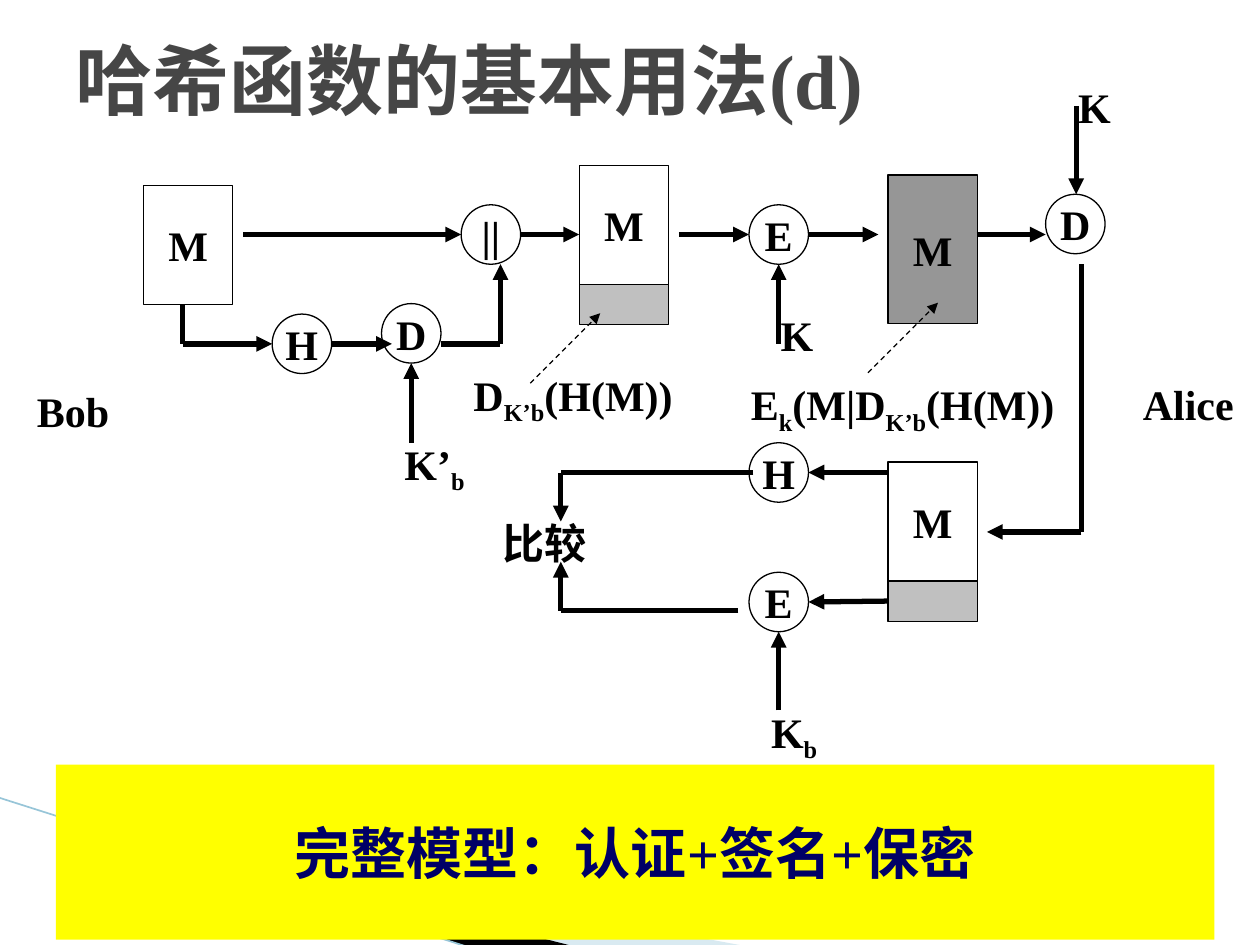
from dataclasses import dataclass

from lxml import etree
from pptx import Presentation
from pptx.dml.color import RGBColor
from pptx.enum import dml, shapes, text
from pptx.oxml import ns
from pptx.util import Pt


@dataclass(frozen=True)
class Theme:
    """Colours, type sizes and line widths of the slide."""
    font: str = "Times New Roman"
    ink: str = "000000"
    paper: str = "FFFFFF"
    title: str = "464646"
    tag: str = "C0C0C0"
    cipher: str = "969696"
    banner: str = "FFFF00"
    banner_text: str = "000066"
    ribbon: str = "A0CBDC"
    edge: str = "97C5D8"
    title_size: float = 44
    banner_size: float = 32
    size: float = 24
    thin: float = 0.75
    thick: float = 3


T = Theme()
NODE, BLOCK_W, BLOCK_H, TAG_H = 34, 51, 68, 23


def rgb(value):
    """Turn a hex string into a colour."""
    return RGBColor.from_string(value)


def write(tf, parts, size=T.size, color=T.ink, align=None, **frame):
    """Fill a text frame; every second part is a subscript."""
    for name, value in frame.items():
        setattr(tf, name, value)
    p = tf.paragraphs[0]
    p.alignment = align
    for i, part in enumerate(parts):
        r = p.add_run()
        r.text = part
        for name, value in dict(name=T.font, size=Pt(size), bold=True).items():
            setattr(r.font, name, value)
        r.font.color.rgb = rgb(color)
        if i % 2:
            r.font._element.set("baseline", "-25000")


def paint(sp, fill, line=None):
    """Give a shape its fill and outline, without a shadow."""
    sp.shadow.inherit = False
    sp.fill.solid()
    sp.fill.fore_color.rgb = rgb(fill)
    if line:
        sp.line.color.rgb = rgb(line)
        sp.line.width = Pt(T.thin)
    else:
        sp.line.fill.background()


class Region:
    """Draw parts relative to the left and top of a box."""

    def __init__(self, s, box):
        self.shapes = s.shapes
        self.x, self.y, self.w, self.h = box

    def at(self, x, y):
        """Convert a point in the box to slide lengths."""
        return Pt(self.x + x), Pt(self.y + y)

    def shape(self, kind, x, y, w, h, fill, label="", line=T.ink, **style):
        """Add a preset shape with centred text."""
        sp = self.shapes.add_shape(kind, *self.at(x, y), Pt(w), Pt(h))
        paint(sp, fill, line)
        if label:
            write(sp.text_frame, [label], align=text.PP_ALIGN.CENTER,
                  vertical_anchor=text.MSO_ANCHOR.MIDDLE, word_wrap=False, **style)
        return sp

    def node(self, label, cx, cy):
        """Add an operation circle around a centre."""
        return self.shape(shapes.MSO_SHAPE.OVAL, cx - NODE / 2, cy - NODE / 2,
                          NODE, NODE, T.paper, label)

    def block(self, x, y, h=BLOCK_H, fill=T.paper, label="M"):
        """Add a message block."""
        return self.shape(shapes.MSO_SHAPE.RECTANGLE, x, y, BLOCK_W, h, fill, label)

    def tagged(self, x, y):
        """Add a message with its tag below and return the tag."""
        self.block(x, y)
        return self.block(x, y + BLOCK_H, TAG_H, T.tag, "")

    def label(self, x, y, w, *parts):
        """Add a text label."""
        sp = self.shapes.add_textbox(*self.at(x, y), Pt(w), Pt(36))
        write(sp.text_frame, parts, word_wrap=True)

    def line(self, a, b, width=T.thick, color=T.ink, head=True, dash=False):
        """Add a straight line, with an arrowhead at its end."""
        c = self.shapes.add_connector(shapes.MSO_CONNECTOR.STRAIGHT, *self.at(*a), *self.at(*b))
        c.line.color.rgb = rgb(color)
        c.line.width = Pt(width)
        if dash:
            c.line.dash_style = dml.MSO_LINE.DASH
        if head:
            etree.SubElement(c.line._get_or_add_ln(), ns.qn("a:tailEnd"), type="triangle")
        etree.SubElement(c._element.spPr, ns.qn("a:effectLst"))
        return c

    def route(self, *points):
        """Join points by lines and put the arrowhead on the last."""
        for i in range(1, len(points)):
            self.line(points[i - 1], points[i], head=i == len(points) - 1)


def ribbons(s, box):
    """Draw the decorative corner bands."""
    g = Region(s, box)
    bands = ((T.ribbon, 40, [(40, 13), (428, 85), (328, 85), (40, 12)]),
             (T.ink, 100, [(38, 11), (329, 85), (268, 85), (39, 12)]))
    for fill, alpha, points in bands:
        start, *rest = [g.at(*point) for point in points]
        fb = s.shapes.build_freeform(*start)
        fb.add_line_segments(rest, close=True)
        sp = fb.convert_to_shape()
        paint(sp, fill)
        if alpha < 100:
            clr = sp._element.spPr.find(".//" + ns.qn("a:srgbClr"))
            etree.SubElement(clr, ns.qn("a:alpha"), val=str(alpha * 1000))
    g.line((0, 0), (267, 85), width=0.95, color=T.edge, head=False)


def heading(s, box):
    """Place the title."""
    sp = s.shapes.title
    for name, value in zip(("left", "top", "width", "height"), box):
        setattr(sp, name, Pt(value))
    write(sp.text_frame, ["哈希函数的基本用法(d)"], T.title_size, T.title,
          text.PP_ALIGN.LEFT, vertical_anchor=text.MSO_ANCHOR.MIDDLE)


def sender(s, box):
    """Draw hashing, signing and encryption on Bob's side."""
    g = Region(s, box)
    axis, low = 44, 106.5
    g.block(2, 16)
    g.tagged(251, 4.5)
    g.block(427.5, 10, BLOCK_H * 1.25, T.cipher)
    for name, cx, cy in (("||", 200.5, axis), ("E", 365, axis),
                         ("H", 92.5, low), ("D", 155, 100.5)):
        g.node(name, cx, cy)
    for x1, x2 in ((59, 183.5), (217.5, 251), (308, 348), (382, 422)):
        g.line((x1, axis), (x2, axis))
    g.route((24.5, 84), (24.5, low), (75.5, low))
    g.line((109.5, low), (144, low))
    g.route((172, low), (206, low), (206, 61))
    g.line((155, 163), (155, 117.5))
    g.line((365, low), (365, 61))
    for a, b in (((223, 129), (263, 89)), ((416, 123), (456, 83))):
        g.line(a, b, T.thin, dash=True)
    g.label(359, 83.5, 51, "K")
    g.label(144, 157, 51, "K’", "b")
    g.label(183.5, 117.5, 153, "D", "K’b", "(H(M))")
    g.label(342, 123, 199, "E", "k", "(M|D", "K’b", "(H(M))")


def receiver(s, box):
    """Draw decryption, verification and comparison on Alice's side."""
    g = Region(s, box)
    hash_y, check_y, compare_x = 230, 304, 40.5
    tag = g.tagged(227.5, 224)
    for name, cx, cy in (("D", 334.5, 88), ("H", 165, hash_y), ("E", 165, check_y)):
        g.node(name, cx, cy)
    g.line((335, 20.5), (335, 71))
    g.line((278, 94), (317.5, 94))
    g.route((338, 111), (338, 264), (284, 264))
    g.line((227.5, hash_y), (182, hash_y))
    g.line((227.5, check_y), (182, check_y)).begin_connect(tag, 1)
    g.route((150.5, hash_y), (compare_x, hash_y), (compare_x, 258))
    g.route((142, 309), (compare_x, 309), (compare_x, 281))
    g.line((165, 366), (165, 321))
    g.label(329, 3, 51, "K")
    g.label(0, 252, 68, "比较")
    g.label(153.5, 360, 51, "K", "b")


def parties(s, box):
    """Name the two parties at the sides."""
    g = Region(s, box)
    g.label(0, 4, 102, "Bob")
    g.label(g.w - 74, 0, 74, "Alice")


def banner(s, box):
    """Place the summary band."""
    g = Region(s, box)
    g.shape(shapes.MSO_SHAPE.RECTANGLE, 0, 0, g.w, g.h, T.banner, "完整模型：认证+签名+保密",
            None, size=T.banner_size, color=T.banner_text)


def main():
    """Build the slide and save it."""
    prs = Presentation()
    prs.slide_width, prs.slide_height = Pt(720), Pt(540)
    s = prs.slides.add_slide(prs.slide_layouts[5])
    ribbons(s, (0, 456, 428, 84))
    heading(s, (36, 0, 648, 90))
    sender(s, (80, 90, 541, 193))
    receiver(s, (280, 40, 380, 396))
    parties(s, (14, 213, 706, 40))
    banner(s, (32, 437, 662, 100))
    prs.save("out.pptx")


if __name__ == "__main__":
    main()
